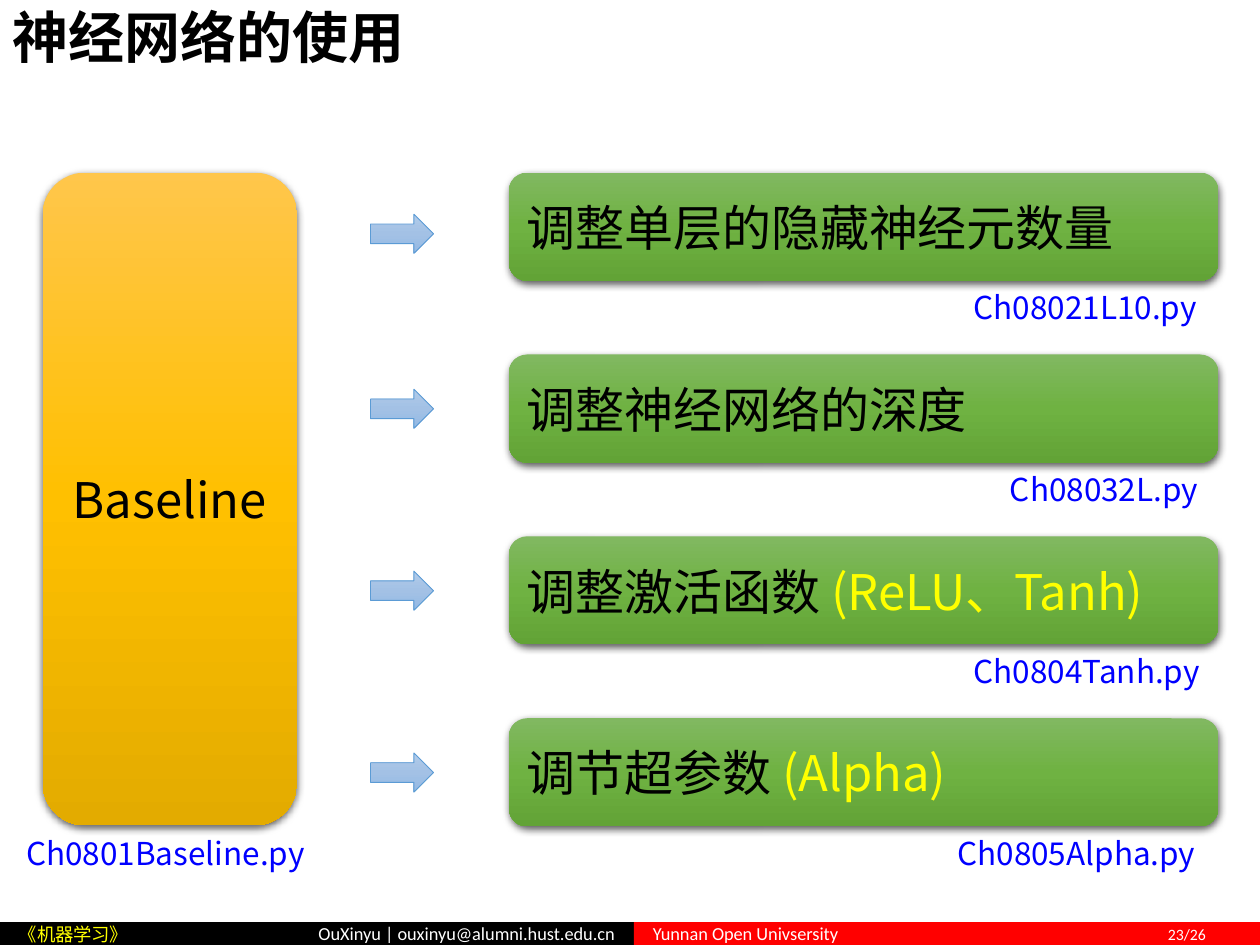
from lxml import etree
from pptx import Presentation
from pptx.dml.color import RGBColor
from pptx.enum.shapes import MSO_SHAPE
from pptx.enum.text import MSO_ANCHOR, MSO_AUTO_SIZE, PP_ALIGN
from pptx.oxml.ns import qn
from pptx.util import Cm, Pt

RECTANGLE = MSO_SHAPE.RECTANGLE
ROUNDED = MSO_SHAPE.ROUNDED_RECTANGLE
ARROW = MSO_SHAPE.RIGHT_ARROW
LEFT, CENTER, RIGHT = PP_ALIGN.LEFT, PP_ALIGN.CENTER, PP_ALIGN.RIGHT
MIDDLE = MSO_ANCHOR.MIDDLE
FIT_SHAPE = MSO_AUTO_SIZE.SHAPE_TO_FIT_TEXT
NO_FIT = MSO_AUTO_SIZE.NONE

CJK_FONT, FOOTER_FONT = "Noto Sans CJK SC", "Calibri"
BLACK, WHITE, YELLOW, RED, BLUE = "000000", "FFFFFF", "FFFF00", "FF0000", "0000FF"
GOLD_STOPS = ("FFC64B", "FFC000", "E3AB00")
GREEN_STOPS = ("81B861", "6FB242", "62A336")
ARROW_STOPS = ("B1CBE9", "A3C1E5", "93B9E4")

# Text runs, script name, script label width, arrow offset from the bar top
EXPERIMENTS = [
    ([("调整单层的隐藏神经元数量", BLACK)], "Ch08021L10.py", 5.18, 0.84),
    ([("调整神经网络的深度", BLACK)], "Ch08032L.py", 4.45, 0.7),
    ([("调整激活函数 ", BLACK), ("(ReLU、Tanh)", YELLOW)], "Ch0804Tanh.py", 5.18, 0.7),
    ([("调节超参数 ", BLACK), ("(Alpha)", YELLOW)], "Ch0805Alpha.py", 5.51, 0.7),
]


def color(hex_value):
    return RGBColor.from_string(hex_value)


def add_run(paragraph, text, size, hex_value, font_name=CJK_FONT, bold=False):
    run = paragraph.add_run()
    run.text = text
    font = run.font
    font.name, font.size, font.bold = font_name, Pt(size), bold
    font.color.rgb = color(hex_value)
    east_asian = etree.SubElement(run._r.get_or_add_rPr(), qn("a:ea"))
    east_asian.set("typeface", font_name)


def add_plain_shape(slide, kind, left, top, width, height):
    shape = slide.shapes.add_shape(kind, Cm(left), Cm(top), Cm(width), Cm(height))
    shape.shadow.inherit = False
    shape.line.fill.background()
    return shape


def fill_gradient(shape, stops):
    """Fill from top to bottom with evenly spaced colours."""
    shape.fill.gradient()
    shape.fill.gradient_angle = 270
    stop_list = shape._element.spPr.find(".//" + qn("a:gsLst"))
    for old_stop in list(stop_list):
        stop_list.remove(old_stop)
    for index, hex_value in enumerate(stops):
        position = 100000 * index // (len(stops) - 1)
        stop = etree.SubElement(stop_list, qn("a:gs"), pos=str(position))
        etree.SubElement(stop, qn("a:srgbClr"), val=hex_value)


def add_drop_shadow(shape):
    effects = shape._element.spPr.find(qn("a:effectLst"))
    shadow = etree.SubElement(
        effects, qn("a:outerShdw"), blurRad=str(Pt(4.5)), dist=str(Pt(1.5)),
        dir="5400000", algn="ctr", rotWithShape="0")
    shade = etree.SubElement(shadow, qn("a:srgbClr"), val=BLACK)
    etree.SubElement(shade, qn("a:alpha"), val="63000")


def add_card(slide, left, top, width, height, stops, runs, alignment):
    card = add_plain_shape(slide, ROUNDED, left, top, width, height)
    fill_gradient(card, stops)
    add_drop_shadow(card)
    card.text_frame.vertical_anchor = MIDDLE
    paragraph = card.text_frame.paragraphs[0]
    paragraph.alignment = alignment
    for text, hex_value in runs:
        add_run(paragraph, text, 28, hex_value)


def add_script_label(slide, left, top, width, text):
    label = slide.shapes.add_textbox(Cm(left), Cm(top), Cm(width), Cm(1.02))
    frame = label.text_frame
    frame.word_wrap = False
    frame.auto_size = FIT_SHAPE
    add_run(frame.paragraphs[0], text, 18, BLUE)


def add_arrow(slide, left, top):
    arrow = add_plain_shape(slide, ARROW, left, top, 1.27, 0.79)
    fill_gradient(arrow, ARROW_STOPS)
    arrow.line.color.rgb = color("5B9BD5")
    arrow.line.width = Pt(0.5)


def add_title(slide, left, top, width, height):
    title = slide.shapes.title
    title.left, title.top = Cm(left), Cm(top)
    title.width, title.height = Cm(width), Cm(height)
    frame = title.text_frame
    frame.vertical_anchor = MIDDLE
    frame.auto_size = NO_FIT
    paragraph = frame.paragraphs[0]
    paragraph.alignment = LEFT
    paragraph.line_spacing = 0.9
    add_run(paragraph, "神经网络的使用", 32, BLACK, bold=True)


def add_baseline(slide, left, top, width, height):
    add_card(slide, left, top, width, height, GOLD_STOPS, [("Baseline", BLACK)], CENTER)
    add_script_label(slide, left - 0.58, top + height + 0.05, 6.25, "Ch0801Baseline.py")


def add_experiments(slide, left, top, width, height):
    """Stack the bars evenly, each with an arrow before and a script name below."""
    bar_left, bar_height = left + 2.79, 2.18
    pitch = (height - bar_height) / (len(EXPERIMENTS) - 1)
    for index, (runs, script, label_width, arrow_offset) in enumerate(EXPERIMENTS):
        bar_top = top + index * pitch
        add_card(slide, bar_left, bar_top, width - 2.79, bar_height,
                 GREEN_STOPS, runs, LEFT)
        add_arrow(slide, left, bar_top + arrow_offset)
        add_script_label(slide, left + width - label_width, bar_top + bar_height + 0.02,
                         label_width, script)


def add_footer_band(slide, left, top, width, height, fill, alignment):
    band = add_plain_shape(slide, RECTANGLE, left, top, width, height)
    band.fill.solid()
    band.fill.fore_color.rgb = color(fill)
    frame = band.text_frame
    frame.margin_left = frame.margin_right = Cm(0.38)
    frame.margin_top = frame.margin_bottom = 0
    frame.vertical_anchor = MIDDLE
    paragraph = frame.paragraphs[0]
    paragraph.alignment = alignment
    return paragraph


def add_footer(slide, left, top, width, height):
    split = left + 12.78
    author = add_footer_band(slide, left, top, split - left, height, BLACK, RIGHT)
    add_run(author, "OuXinyu | ouxinyu@alumni.hust.edu.cn", 10.5, WHITE, FOOTER_FONT)

    school = add_footer_band(slide, split, top, left + width - split, height, RED, LEFT)
    tabs = etree.SubElement(school._p.get_or_add_pPr(), qn("a:tabLst"))
    etree.SubElement(tabs, qn("a:tab"), pos=str(Cm(11.15)), algn="r")
    add_run(school, "Yunnan Open Univsersity\t", 10.5, WHITE, FOOTER_FONT)
    add_run(school, "23/26", 9, WHITE, FOOTER_FONT)

    course = add_footer_band(slide, left, top + 0.02, 6.12, height - 0.02, BLACK, LEFT)
    add_run(course, "《机器学习》", 10.5, YELLOW)


def main():
    presentation = Presentation()
    presentation.slide_width, presentation.slide_height = Cm(25.4), Cm(19.05)
    slide = presentation.slides.add_slide(presentation.slide_layouts[5])
    add_footer(slide, 0, 18.59, 25.4, 0.46)
    add_title(slide, 0, 0.05, 20.98, 1.52)
    add_baseline(slide, 0.86, 3.48, 5.13, 13.16)
    add_experiments(slide, 7.47, 3.48, 17.09, 13.18)
    presentation.save("out.pptx")


if __name__ == "__main__":
    main()
